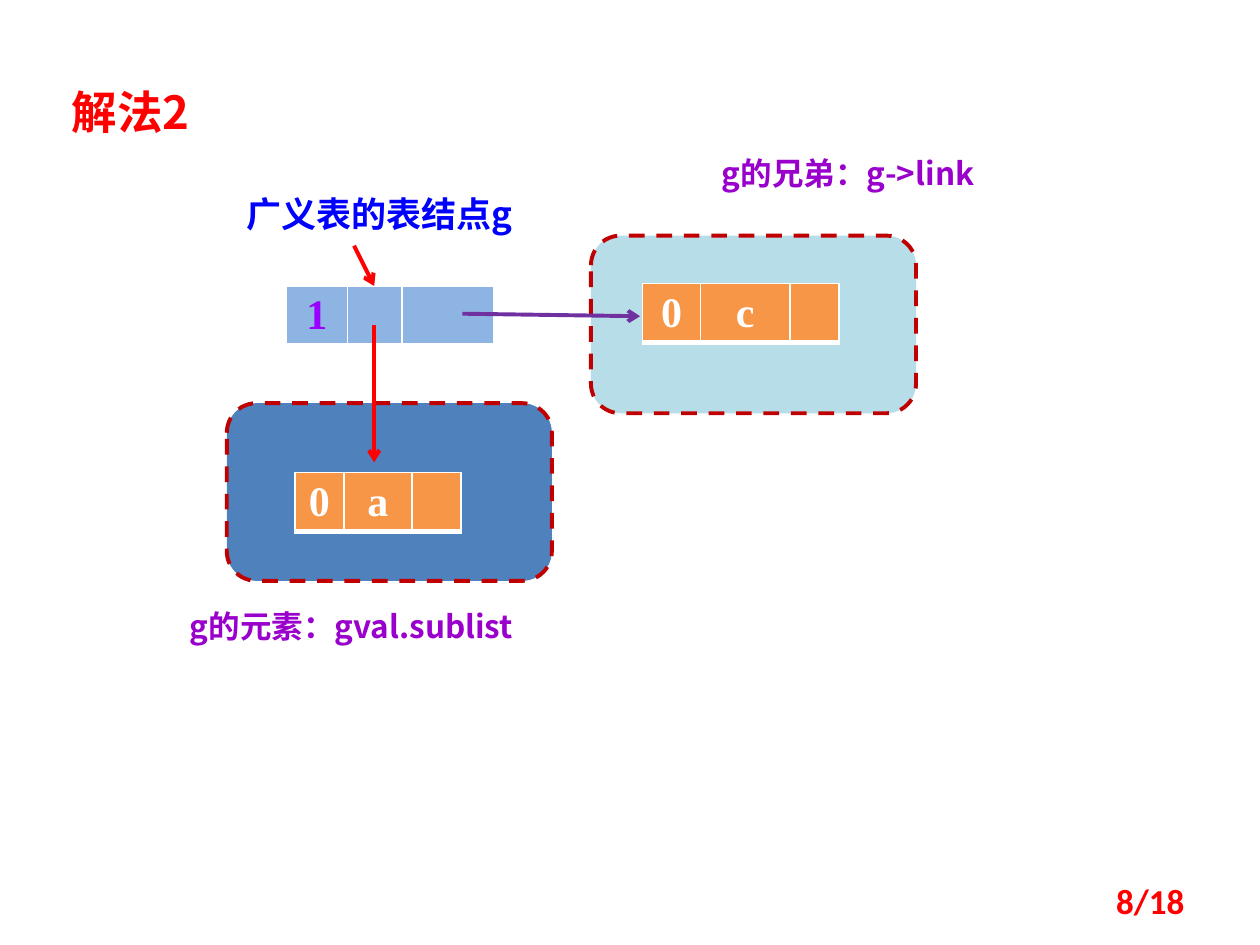
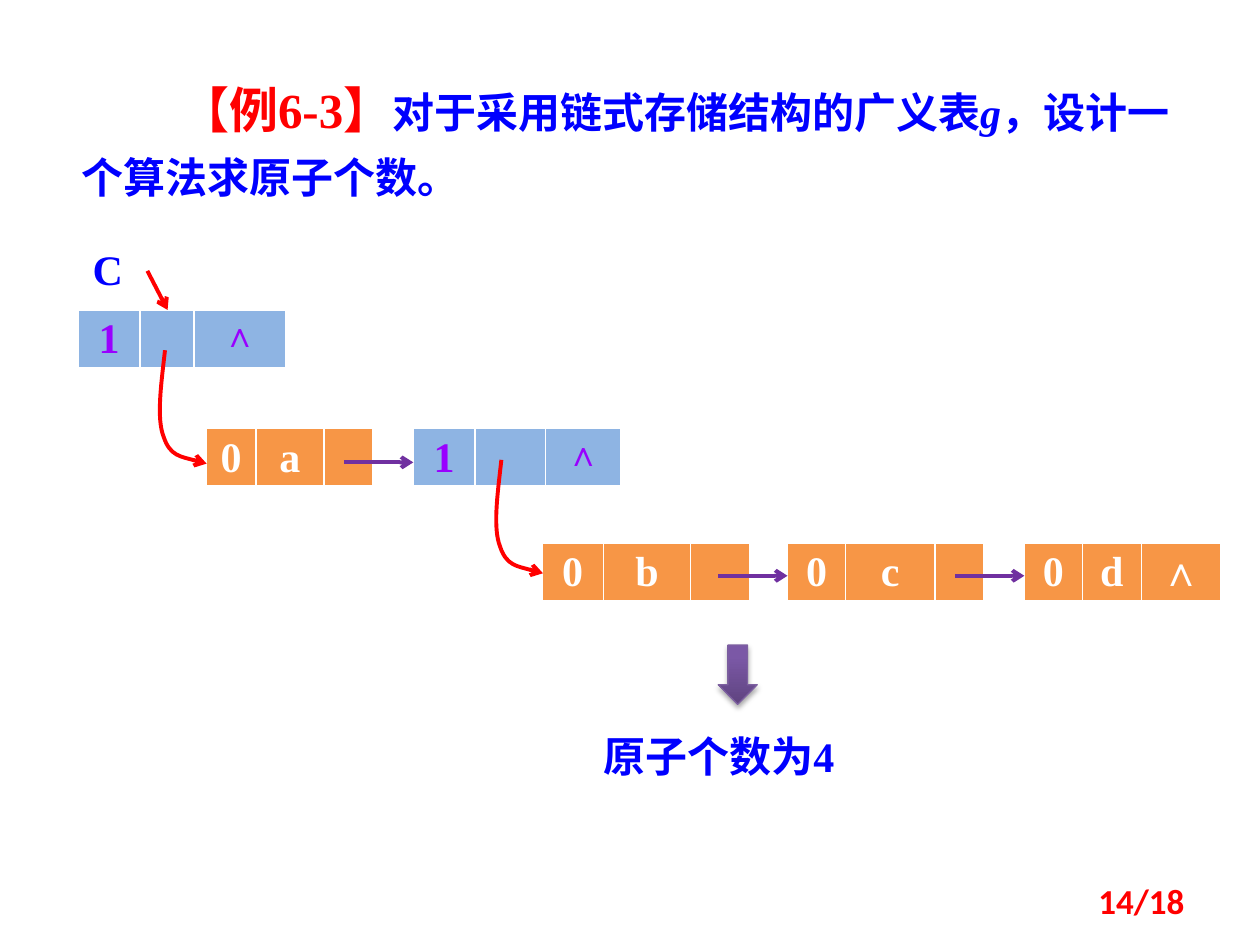
import lxml.etree
import pptx
import pptx.dml.color
import pptx.enum.dml
import pptx.enum.shapes
import pptx.enum.text
import pptx.oxml.ns
import pptx.util

Inches = pptx.util.Inches
Pt = pptx.util.Pt
qn = pptx.oxml.ns.qn
ALIGN = pptx.enum.text.PP_ALIGN
ANCHOR = pptx.enum.text.MSO_ANCHOR
SHAPE = pptx.enum.shapes.MSO_SHAPE

# Shared look
CJK = "Noto Sans CJK SC"
SERIF = "Times New Roman"
RED, BLUE, WHITE = "FF0000", "0000FF", "FFFFFF"
LINK, LABEL = "7030A0", "9900CC"
NODE_COLOURS = {"1": ("8EB4E3", "9900FF"), "0": ("F79646", WHITE)}  # fill, text by tag
PAGE_COUNT = 18
LIST_NODE = (0.49, 0.43, 0.73)
ATOM_A = (0.39, 0.54, 0.39)
ATOM_C = (0.46, 0.71, 0.39)
# Bezier points of a link down to a sublist, measured from its start
SUBLIST_CURVE = ((-0.03, 0.27), (-0.07, 0.54), (-0.01, 0.69),
                 (0.04, 0.84), (0.19, 0.86), (0.33, 0.9))


def rgb(colour):
    return pptx.dml.color.RGBColor.from_string(colour)


def add_xml(parent, tag, **attributes):
    return lxml.etree.SubElement(parent, qn(tag), attributes)


def format_paragraph(paragraph, size, colour, font=SERIF, align=ALIGN.LEFT):
    paragraph.alignment = align
    paragraph.font.size = Pt(size)
    paragraph.font.bold = True
    paragraph.font.color.rgb = rgb(colour)
    paragraph.font.name = font
    properties = paragraph._p.get_or_add_pPr().find(qn("a:defRPr"))
    add_xml(properties, "a:ea", typeface=CJK)


def add_label(slide, box, text, size, colour, font=SERIF, align=ALIGN.LEFT,
              anchor=ANCHOR.TOP):
    frame = slide.shapes.add_textbox(*map(Inches, box)).text_frame
    frame.word_wrap = True
    frame.vertical_anchor = anchor
    frame.text = text
    format_paragraph(frame.paragraphs[0], size, colour, font, align)


def place_title(slide, box):
    """Move the title placeholder and return its first paragraph."""
    title = slide.shapes.title
    title.left, title.top, title.width, title.height = map(Inches, box)
    frame = title.text_frame
    frame.word_wrap = True
    frame.auto_size = pptx.enum.text.MSO_AUTO_SIZE.NONE
    frame.vertical_anchor = ANCHOR.TOP
    return frame.paragraphs[0]


def add_page_number(slide, number):
    add_label(slide, (7.17, 6.95, 2.33, 0.4), f"{number}/{PAGE_COUNT}", 20, RED,
              "Calibri", ALIGN.RIGHT, ANCHOR.MIDDLE)


def set_borders(cell):
    properties = cell._tc.get_or_add_tcPr()
    sides = (("a:lnL", 1), ("a:lnR", 1), ("a:lnT", 1), ("a:lnB", 3))
    for position, (side, width) in enumerate(sides):
        border = add_xml(properties, side, w=str(Pt(width)))
        add_xml(add_xml(border, "a:solidFill"), "a:srgbClr", val=WHITE)
        properties.insert(position, border)


def add_node(slide, left, top, widths, values):
    """A storage node: tag, value and link fields; the tag sets its colours."""
    fill, colour = NODE_COLOURS[values[0]]
    table = slide.shapes.add_table(1, len(widths), Inches(left), Inches(top),
                                   Inches(sum(widths)), Inches(0.47)).table
    table.first_row = table.horz_banding = False
    for column, width, value in zip(table.columns, widths, values):
        column.width = Inches(width)
    for cell, value in zip(table.rows[0].cells, values):
        cell.text = value
        size = 20 if value == "∧" and values[0] == "1" else 24
        format_paragraph(cell.text_frame.paragraphs[0], size, colour,
                         align=ALIGN.CENTER)
        cell.fill.solid()
        cell.fill.fore_color.rgb = rgb(fill)
        set_borders(cell)


def add_arrowhead(shape, colour):
    shape.line.color.rgb = rgb(colour)
    shape.line.width = Pt(2.25)
    add_xml(shape.line._get_or_add_ln(), "a:tailEnd", type="arrow")


def add_arrow(slide, start, end, colour):
    arrow = slide.shapes.add_connector(pptx.enum.shapes.MSO_CONNECTOR.STRAIGHT,
                                       *map(Inches, start + end))
    add_arrowhead(arrow, colour)
    add_xml(arrow._element.spPr, "a:effectLst")


def add_sublist_link(slide, x, y):
    """A curved arrow; straight segments are grouped in threes into curves."""
    builder = slide.shapes.build_freeform(Inches(x), Inches(y), 1.0)
    points = [(Inches(x + dx), Inches(y + dy)) for dx, dy in SUBLIST_CURVE]
    builder.add_line_segments(points, close=False)
    link = builder.convert_to_shape()
    outline = next(link._element.iter(qn("a:path")))
    segments = outline.findall(qn("a:lnTo"))
    for first in range(0, len(segments), 3):
        curve = add_xml(outline, "a:cubicBezTo")
        for segment in segments[first:first + 3]:
            curve.append(segment[0])
            outline.remove(segment)
    link.fill.background()
    link.shadow.inherit = False
    add_arrowhead(link, RED)


def add_region(slide, left, top, fill):
    region = slide.shapes.add_shape(SHAPE.ROUNDED_RECTANGLE, Inches(left), Inches(top),
                                    Inches(2.58), Inches(1.41))
    region.shadow.inherit = False
    region.fill.solid()
    region.fill.fore_color.rgb = rgb(fill)
    region.line.color.rgb = rgb("C00000")
    region.line.width = Pt(2.25)
    region.line.dash_style = pptx.enum.dml.MSO_LINE.DASH


def add_result_arrow(slide, box):
    arrow = slide.shapes.add_shape(SHAPE.DOWN_ARROW, *map(Inches, box))
    arrow.fill.gradient()
    arrow.fill.gradient_angle = 90
    stops = ((0, "5F4480"), (0.8, "7B58A6"))
    for stop, (position, colour) in zip(arrow.fill.gradient_stops, stops):
        stop.position = position
        stop.color.rgb = rgb(colour)
    arrow.line.color.rgb = rgb("7D60A0")
    arrow.line.width = Pt(0.75)
    # Soft shadow below
    arrow.shadow.inherit = False
    effects = arrow._element.spPr.find(qn("a:effectLst"))
    shadow = add_xml(effects, "a:outerShdw", blurRad=str(Pt(3.1)), dist=str(Pt(1.8)),
                     dir="5400000", rotWithShape="0")
    add_xml(add_xml(shadow, "a:srgbClr", val="000000"), "a:alpha", val="35000")


def build_solution(slide):
    title = place_title(slide, (0.47, 0.62, 1.56, 0.54))
    title.text = "解法2"
    format_paragraph(title, 26, RED, CJK)

    # Element and sibling regions
    add_region(slide, 1.8, 3.2, "4F81BD")
    add_region(slide, 4.69, 1.87, "B7DEE8")

    # Nodes
    add_node(slide, 2.27, 2.27, LIST_NODE, ("1", "", ""))
    add_node(slide, 2.34, 3.75, ATOM_A, ("0", "a", ""))
    add_node(slide, 5.1, 2.25, ATOM_C, ("0", "c", ""))

    # Labels
    add_label(slide, (1.8, 1.48, 2.42, 0.44), "广义表的表结点g", 20, BLUE, CJK,
              ALIGN.CENTER)
    add_label(slide, (5.63, 1.17, 3.13, 0.4), "g的兄弟：g->link", 18, LABEL, CJK)
    add_label(slide, (1.41, 4.77, 2.97, 0.4), "g的元素：gval.sublist", 18, LABEL, CJK)

    # Links
    add_arrow(slide, (2.81, 1.95), (2.97, 2.27), RED)
    add_arrow(slide, (3.67, 2.49), (5.08, 2.51), LINK)
    add_arrow(slide, (2.97, 2.58), (2.97, 3.67), RED)
    add_page_number(slide, 8)


def build_example(slide):
    # Problem statement
    problem = place_title(slide, (0.55, 0.55, 8.91, 1.06))
    problem._p.get_or_add_pPr().set("indent", str(Inches(0.78)))
    format_paragraph(problem, 24, BLUE)
    problem.line_spacing = Pt(36)
    texts = ("【例6-3】", "对于采用链式存储结构的广义表", "g", "，设计一个算法求原子个数。")
    heading, _, list_name, _ = [problem.add_run() for _ in texts]
    for run, text in zip(problem.runs, texts):
        run.text = text
    heading.font.size = Pt(28)
    heading.font.color.rgb = rgb(RED)
    list_name.font.italic = True

    # Nodes, level by level
    add_node(slide, 0.62, 2.46, LIST_NODE, ("1", "", "∧"))
    add_node(slide, 1.64, 3.4, ATOM_A, ("0", "a", ""))
    add_node(slide, 3.28, 3.4, (0.49, 0.56, 0.6), ("1", "", "∧"))
    add_node(slide, 4.3, 4.31, (0.49, 0.69, 0.47), ("0", "b", ""))
    add_node(slide, 6.25, 4.31, ATOM_C, ("0", "c", ""))
    add_node(slide, 8.13, 4.31, (0.46, 0.47, 0.63), ("0", "d", "∧"))

    # Sibling links, each ending at the next node
    for x, y in ((3.28, 3.67), (6.25, 4.57), (8.13, 4.57)):
        add_arrow(slide, (x - 0.55, y), (x, y), LINK)

    # Sublist links
    add_sublist_link(slide, 1.31, 2.78)
    add_sublist_link(slide, 3.98, 3.65)

    # List head and result
    add_label(slide, (0.62, 1.88, 0.47, 0.5), "C", 24, BLUE, align=ALIGN.CENTER)
    add_arrow(slide, (1.17, 2.15), (1.33, 2.46), RED)
    add_result_arrow(slide, (5.7, 5.12, 0.31, 0.47))
    add_label(slide, (4.69, 5.75, 2.73, 0.5), "原子个数为4", 24, BLUE)
    add_page_number(slide, 14)


def main():
    deck = pptx.Presentation()
    deck.slide_width, deck.slide_height = Inches(10), Inches(7.5)
    title_only = deck.slide_layouts[5]
    for build in (build_solution, build_example):
        build(deck.slides.add_slide(title_only))
    deck.save("out.pptx")


if __name__ == "__main__":
    main()
